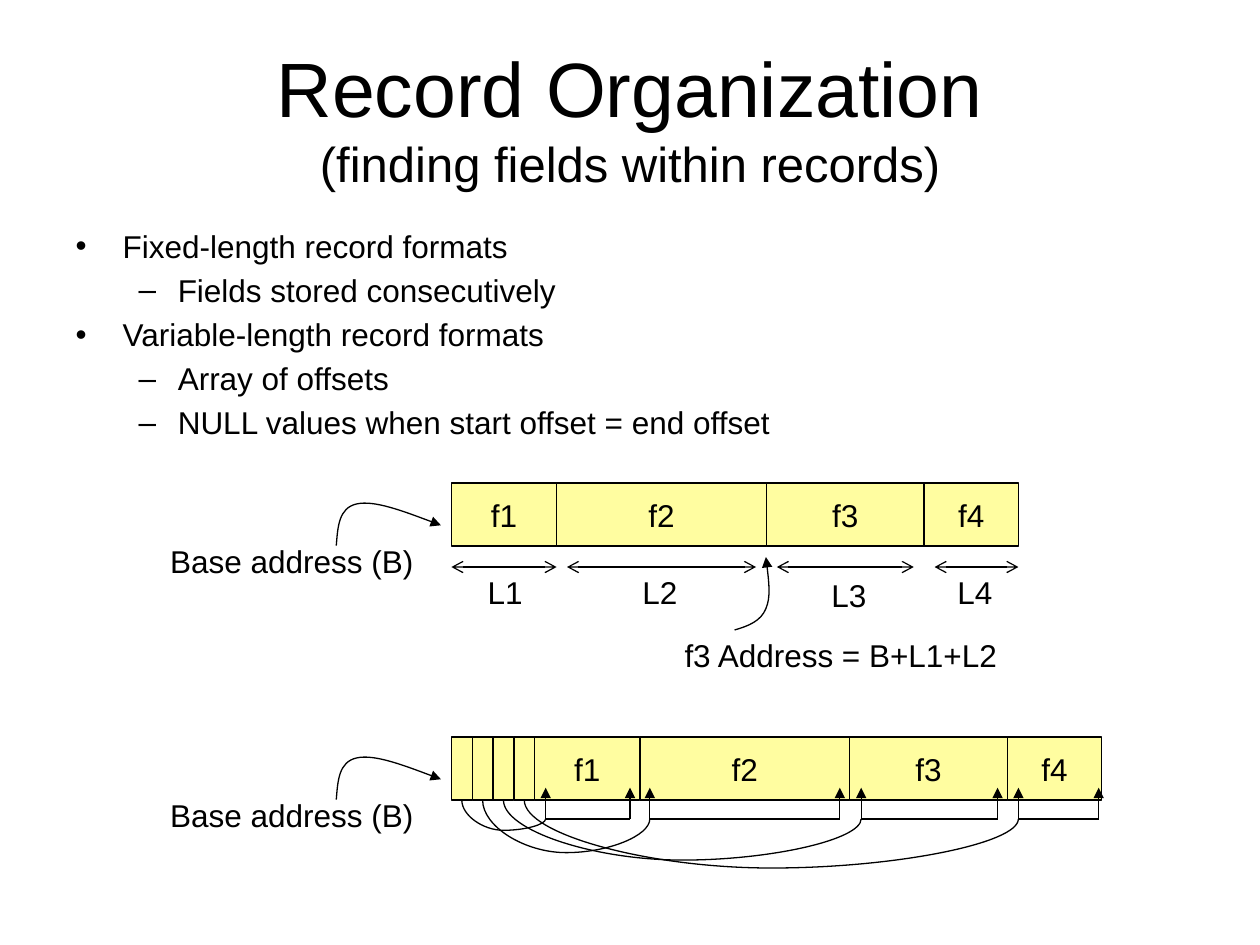
from dataclasses import dataclass
from itertools import accumulate

from pptx import Presentation
from pptx.dml.color import RGBColor
from pptx.enum.shapes import MSO_CONNECTOR, MSO_SHAPE
from pptx.enum.text import MSO_ANCHOR, MSO_AUTO_SIZE, PP_ALIGN
from pptx.oxml.ns import qn
from pptx.util import Cm, Pt


@dataclass(frozen=True)
class Theme:
    """Colours, type sizes and line width of the slide."""

    ink: RGBColor = RGBColor(0, 0, 0)
    field: RGBColor = RGBColor(0xFF, 0xFD, 0xA0)
    font: str = "Arial"
    title: Pt = Pt(44)
    subtitle: Pt = Pt(28)
    text: Pt = Pt(18)
    stroke: Pt = Pt(0.75)


THEME = Theme()
FIELDS = {"f1": 2.12, "f2": 4.23, "f3": 3.18, "f4": 1.9}
RECORD_LEFT, RECORD_TOP, RECORD_HEIGHT = 9.1, 9.74, 1.27
SLOT_WIDTH, SLOT_COUNT = 0.42, 4
VARIABLE_SHIFT = 5.12
BASE_CURVE = [(6.78, 11), (6.81, 10.62), (6.83, 10.24), (7.19, 10.16),
              (7.54, 10.08), (8.23, 10.34), (8.89, 10.59)]
F3_CURVE = [(14.81, 12.7), (15.09, 12.62), (15.34, 12.52), (15.44, 12.27),
            (15.54, 12.04), (15.49, 11.63), (15.44, 11.23)]
LENGTHS = [("L1", 9.1, 11.22, 9.58, 11.43), ("L2", 11.43, 15.24, 12.7, 11.43),
           ("L3", 15.66, 18.42, 16.51, 11.48), ("L4", 18.84, 20.53, 19.05, 11.43)]
EXTENTS = [(11, 12.7, 16.74), (13.1, 16.93, 17.19),
           (17.36, 20.11, 17.34), (20.53, 22.15, 17.5)]
OUTLINE = [(0, "Fixed-length record formats"), (1, "Fields stored consecutively"),
           (0, "Variable-length record formats"), (1, "Array of offsets"),
           (1, "NULL values when start offset = end offset")]
INDENTS = [(0.95, -0.95), (2.06, -0.79)]


def apply(target, formats):
    """Set each attribute named in the formats dict."""
    for name, value in formats.items():
        setattr(target, name, value)


def place(box, left, top, width, height):
    """Move and size a box, in centimetres."""
    apply(box, {"left": Cm(left), "top": Cm(top), "width": Cm(width), "height": Cm(height)})


def add_span(para, text, size=THEME.text):
    """Add a run in the theme font."""
    span = para.add_run()
    span.text = text
    apply(span.font, {"name": THEME.font, "size": size})
    span.font.color.rgb = THEME.ink


def style_line(line, head=None, tail=None):
    """Give a line the theme stroke and optional arrowheads."""
    line.color.rgb = THEME.ink
    line.width = THEME.stroke
    for tag, kind in (("a:headEnd", head), ("a:tailEnd", tail)):
        if kind:
            end = line._get_or_add_ln().makeelement(qn(tag), {"type": kind})
            line._get_or_add_ln().append(end)


def add_title(page):
    """Fill the title placeholder with title and subtitle."""
    box = page.shapes.title
    place(box, 1.27, 0.76, 22.86, 3.18)
    apply(box.text_frame, {"vertical_anchor": MSO_ANCHOR.MIDDLE, "auto_size": MSO_AUTO_SIZE.NONE})
    para = box.text_frame.paragraphs[0]
    para.alignment = PP_ALIGN.CENTER
    add_span(para, "Record Organization", THEME.title)
    para.add_line_break()
    add_span(para, "(finding fields within records)", THEME.subtitle)


def add_outline(page):
    """Fill the body placeholder with the two-level list."""
    box = page.placeholders[1]
    place(box, 1.27, 4.45, 22.86, 12.57)
    frame = box.text_frame
    frame.auto_size = MSO_AUTO_SIZE.NONE
    for number, (level, text) in enumerate(OUTLINE):
        para = frame.add_paragraph() if number else frame.paragraphs[0]
        para.level = level
        margin, indent = INDENTS[level]
        properties = para._p.get_or_add_pPr()
        properties.set("marL", str(Cm(margin)))
        properties.set("indent", str(Cm(indent)))
        add_span(para, text)


def add_cell(shapes, left, top, width, text=""):
    """Draw one cell of a record."""
    box = shapes.add_shape(MSO_SHAPE.RECTANGLE, Cm(left), Cm(top), Cm(width), Cm(RECORD_HEIGHT))
    box.shadow.inherit = False
    box.fill.solid()
    box.fill.fore_color.rgb = THEME.field
    style_line(box.line)
    if text:
        apply(box.text_frame, {"word_wrap": False, "vertical_anchor": MSO_ANCHOR.MIDDLE})
        para = box.text_frame.paragraphs[0]
        para.alignment = PP_ALIGN.CENTER
        add_span(para, text)


def add_fields(shapes, left, top):
    """Draw the named fields side by side."""
    starts = accumulate(FIELDS.values(), initial=left)
    for (name, width), start in zip(FIELDS.items(), starts):
        add_cell(shapes, start, top, width, name)


def add_label(shapes, text, left, top, width):
    """Write a label on one line."""
    box = shapes.add_textbox(Cm(left), Cm(top), Cm(width), Cm(1.02))
    apply(box.text_frame, {"word_wrap": False, "auto_size": MSO_AUTO_SIZE.SHAPE_TO_FIT_TEXT})
    add_span(box.text_frame.paragraphs[0], text)


def add_line(shapes, start, end, head=None, tail=None, kind=MSO_CONNECTOR.STRAIGHT):
    """Draw a connector without shadow."""
    line = shapes.add_connector(kind, *map(Cm, (*start, *end)))
    style_line(line.line, head, tail)
    properties = line._element.spPr
    properties.append(properties.makeelement(qn("a:effectLst"), {}))
    return line


def add_sag(shapes, start, end, bottom):
    """Draw a curved connector that hangs down to the bottom level."""
    (left, top), (right, low) = start, end
    middle, centre = (left + right) / 2, (top + low) / 2
    width, height = low - top, right - left
    line = add_line(shapes, (middle - width / 2, centre - height / 2),
                    (middle + width / 2, centre + height / 2), kind=MSO_CONNECTOR.CURVE)
    properties = line._element.spPr
    frame = properties.find(qn("a:xfrm"))
    frame.set("rot", "16200000")
    frame.set("flipH", "1")
    guides = properties.find(qn("a:prstGeom")).get_or_add_avLst()
    share = round((bottom - top) / width * 100000)
    guides.append(guides.makeelement(qn("a:gd"), {"name": "adj1", "fmla": f"val {share}"}))


def add_pointer(shapes, points, shift=0):
    """Draw an arrow through cubic curves given by their control points."""
    start, *controls = [(Cm(x), Cm(y + shift)) for x, y in points]
    builder = shapes.build_freeform(*start)
    builder.add_line_segments(controls, close=False)
    curve = builder.convert_to_shape()
    curve.shadow.inherit = False
    curve.fill.background()
    style_line(curve.line, tail="triangle")
    segments = list(curve._element.iter(qn("a:lnTo")))
    for first in range(0, len(segments), 3):
        bend = segments[first].makeelement(qn("a:cubicBezTo"), {})
        segments[first].addprevious(bend)
        for segment in segments[first:first + 3]:
            bend.append(segment[0])
            segment.getparent().remove(segment)


def add_base(shapes, shift=0):
    """Label the base address and point to the record start."""
    add_label(shapes, "Base address (B)", 3.18, 10.8 + shift, 5.41)
    add_pointer(shapes, BASE_CURVE, shift)


def add_fixed_record(page):
    """Draw the fixed-length record with its field lengths."""
    shapes = page.shapes.add_group_shape().shapes
    add_fields(shapes, RECORD_LEFT, RECORD_TOP)
    add_base(shapes)
    for name, start, end, left, top in LENGTHS:
        add_line(shapes, (start, 11.43), (end, 11.43), "arrow", "arrow")
        add_label(shapes, name, left, top, 1.22)
    add_label(shapes, "f3 Address = B+L1+L2", 13.55, 12.7, 6.86)
    add_pointer(shapes, F3_CURVE)


def add_variable_record(page):
    """Draw the variable-length record with its offset array."""
    shapes = page.shapes.add_group_shape().shapes
    top = RECORD_TOP + VARIABLE_SHIFT
    tip, rail = top + 1.02, top + 1.65
    add_fields(shapes, RECORD_LEFT + SLOT_COUNT * SLOT_WIDTH, top)
    add_base(shapes, VARIABLE_SHIFT)
    for slot in range(SLOT_COUNT):
        add_cell(shapes, RECORD_LEFT + slot * SLOT_WIDTH, top, SLOT_WIDTH)
    for slot, (start, end, bottom) in enumerate(EXTENTS):
        for edge in (start, end):
            add_line(shapes, (edge, tip), (edge, rail), head="triangle")
        add_line(shapes, (start, rail), (end, rail))
        middle = RECORD_LEFT + (slot + 0.5) * SLOT_WIDTH
        add_sag(shapes, (middle, top + RECORD_HEIGHT), (start, rail), bottom)


def main():
    """Build the slide and save it."""
    deck = Presentation()
    apply(deck, {"slide_width": Cm(25.4), "slide_height": Cm(19.05)})
    page = deck.slides.add_slide(deck.slide_layouts[1])
    for add_part in (add_title, add_outline, add_fixed_record, add_variable_record):
        add_part(page)
    deck.save("out.pptx")


if __name__ == "__main__":
    main()
